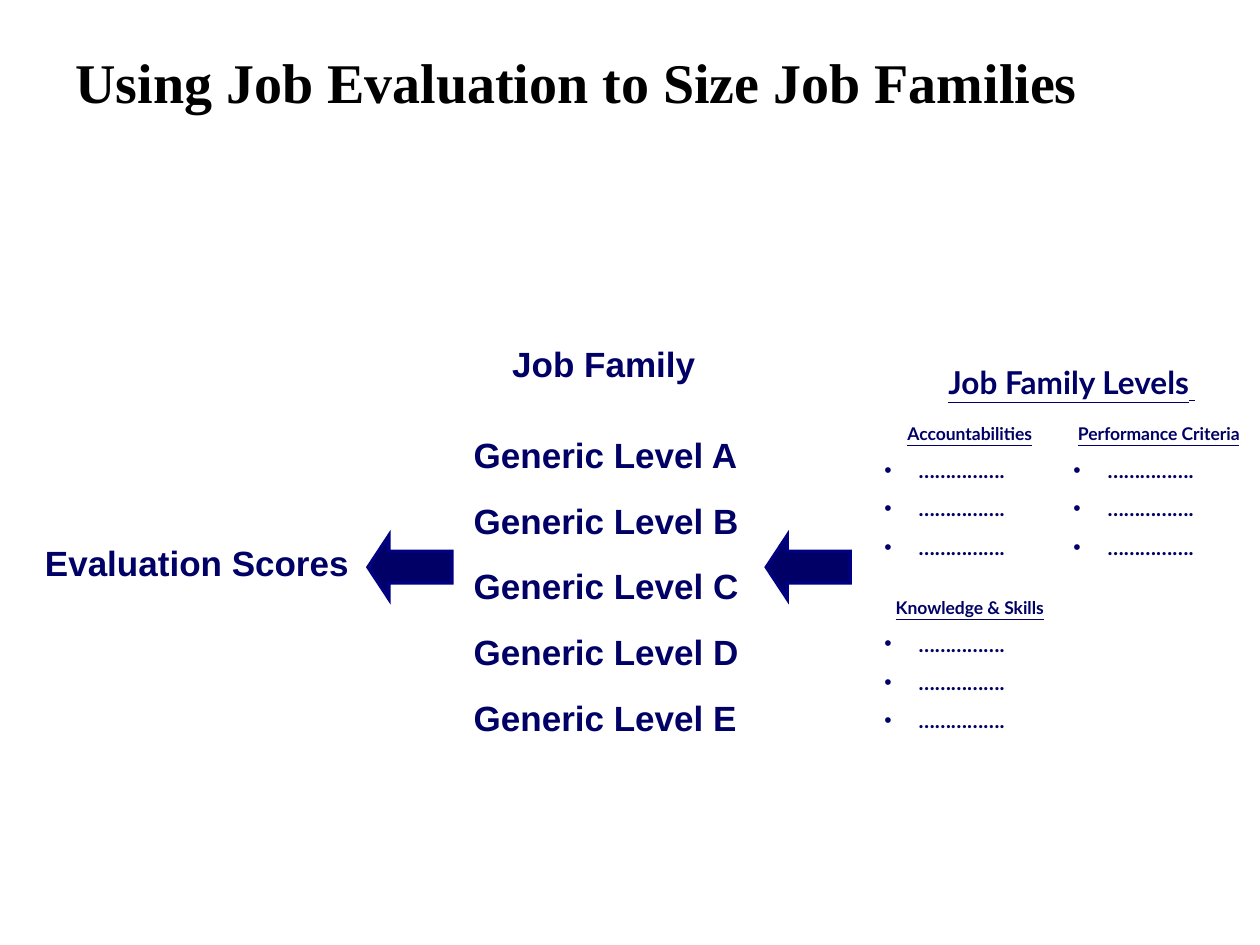
import pptx
import pptx.dml.color
import pptx.enum.shapes
import pptx.enum.text
import pptx.oxml.ns
import pptx.util
from lxml import etree
from pptx.util import Cm

COLORS = {"title": "000000", "navy": "000066", "arrow_line": "000080"}
CENTER = pptx.enum.text.PP_ALIGN.CENTER
LEFT = pptx.enum.text.PP_ALIGN.LEFT
DOTS = "……………."


def rgb(name):
    return pptx.dml.color.RGBColor.from_string(COLORS[name])


def add_element(parent, tag, **attributes):
    return etree.SubElement(parent, pptx.oxml.ns.qn(tag), **attributes)


def add_box(page, left, top, width, height, lines):
    """Add a wrapped text box with one paragraph per line of text."""
    box = page.shapes.add_textbox(Cm(left), Cm(top), Cm(width), Cm(height))
    box.text_frame.word_wrap = True
    box.text_frame.text = "\n".join(lines)
    return box.text_frame


def style(para, size, font="Arial", color="navy", align=LEFT, before=0, underline=False):
    para.alignment = align
    para.space_before = pptx.util.Pt(before)
    for span in para.runs:
        span.font.size = pptx.util.Pt(size)
        span.font.name = font
        span.font.bold = True
        span.font.underline = underline
        span.font.color.rgb = rgb(color)


def add_bullet(para):
    properties = para._p.get_or_add_pPr()
    properties.set("marL", str(Cm(0.69)))
    properties.set("indent", str(-Cm(0.69)))
    color = add_element(properties, "a:buClr")
    add_element(color, "a:srgbClr", val=COLORS["navy"])
    add_element(properties, "a:buFont", typeface="Arial")
    add_element(properties, "a:buChar", char="•")


def add_criteria(page, left, top, heading):
    """Add an underlined heading over three dotted bullets."""
    frame = add_box(page, left, top, 3.94, 3, [heading] + [DOTS] * 3)
    style(frame.paragraphs[0], 10, "Lato", align=CENTER, underline=True)
    for para in frame.paragraphs[1:]:
        add_bullet(para)
        style(para, 12, "Lato", before=7.5)


def add_arrow(page, left):
    kind = pptx.enum.shapes.MSO_SHAPE.LEFT_ARROW
    arrow = page.shapes.add_shape(kind, Cm(left), Cm(10.8), Cm(1.69), Cm(1.27))
    arrow.adjustments[0] = 0.5
    arrow.adjustments[1] = 0.33
    arrow.shadow.inherit = False
    arrow.fill.solid()
    arrow.fill.fore_color.rgb = rgb("navy")
    arrow.line.color.rgb = rgb("arrow_line")
    arrow.line.width = pptx.util.Pt(2)
    add_element(arrow.line._get_or_add_ln(), "a:miter", lim="800000")


def main():
    deck = pptx.Presentation()
    deck.slide_width, deck.slide_height = Cm(25.4), Cm(19.05)
    page = deck.slides.add_slide(deck.slide_layouts[6])

    # Title
    title = add_box(page, 1.27, 0.2, 22.86, 3.07,
                    ["Using Job Evaluation to Size Job Families"])
    title.vertical_anchor = pptx.enum.text.MSO_ANCHOR.MIDDLE
    style(title.paragraphs[0], 32, "Times New Roman", "title")
    title.paragraphs[0].line_spacing = 0.87

    # Evaluation scores
    scores = add_box(page, 0.64, 10.8, 6.86, 2.39, ["Evaluation Scores "])
    style(scores.paragraphs[0], 20, align=CENTER)

    # Job family and its generic levels
    levels = [f"Generic Level {letter}" for letter in "ABCDE"]
    family = add_box(page, 9.3, 6.78, 5.94, 8.05, ["Job Family "] + levels)
    style(family.paragraphs[0], 20, align=CENTER)
    for para in family.paragraphs[1:]:
        style(para, 20, before=13.5)
    family.paragraphs[1].space_before = pptx.util.Pt(28)

    # Job family levels
    heading = add_box(page, 17.78, 7.19, 7.65, 1.02, ["Job Family Levels"])
    para = heading.paragraphs[0]
    para.add_run().text = " "
    style(para, 18, "Lato", align=CENTER, underline=True)
    para.runs[1].font.size = pptx.util.Pt(14)
    add_criteria(page, 17.58, 8.41, "Accountabilities")
    add_criteria(page, 17.58, 11.91, "Knowledge & Skills")
    add_criteria(page, 21.39, 8.41, "Performance Criteria")

    # Arrows leading from the levels to the scores
    for left in (7.42, 15.45):
        add_arrow(page, left)

    deck.save("out.pptx")


if __name__ == "__main__":
    main()
